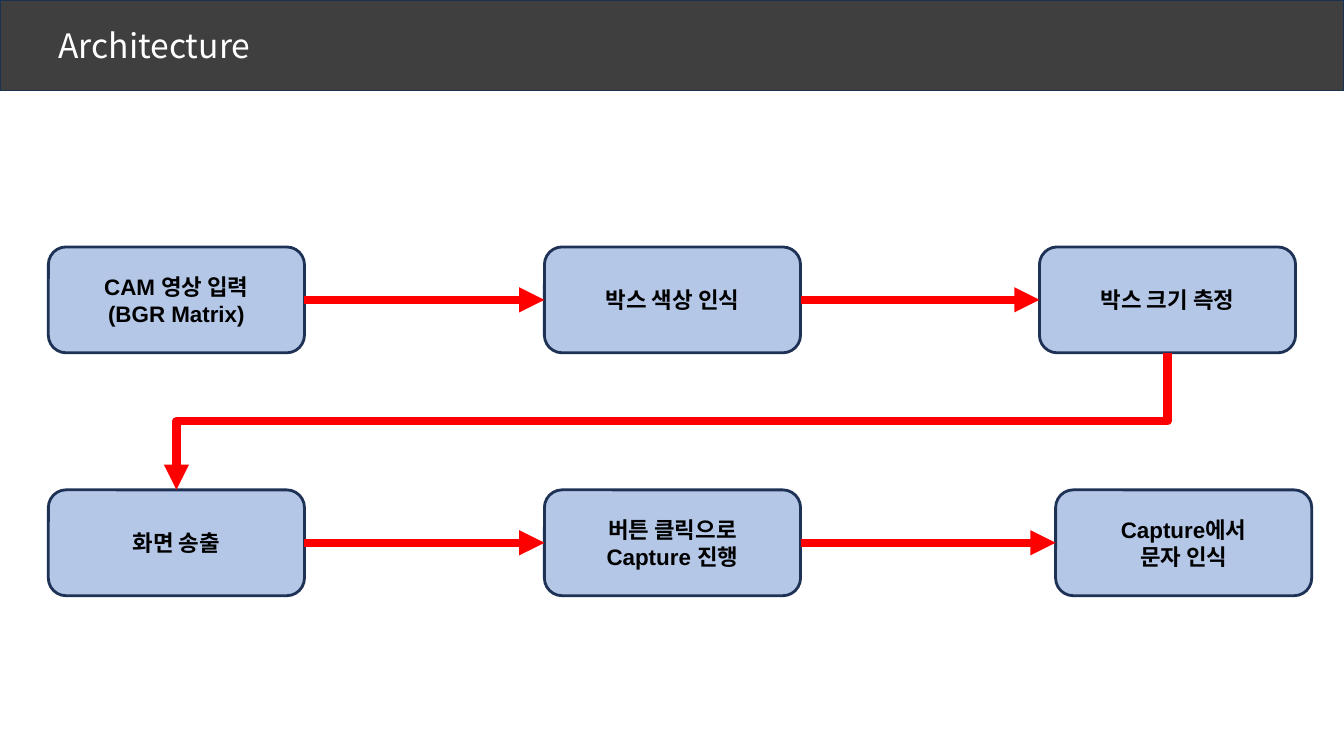
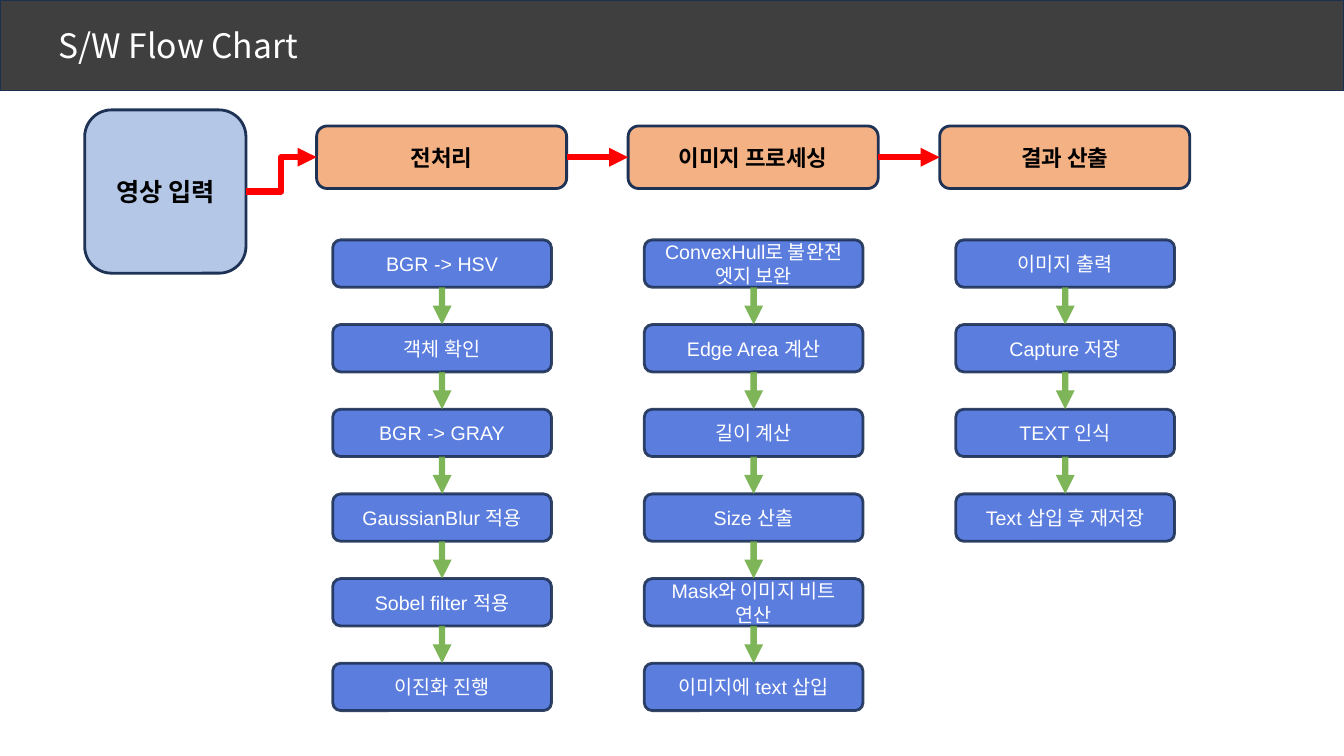
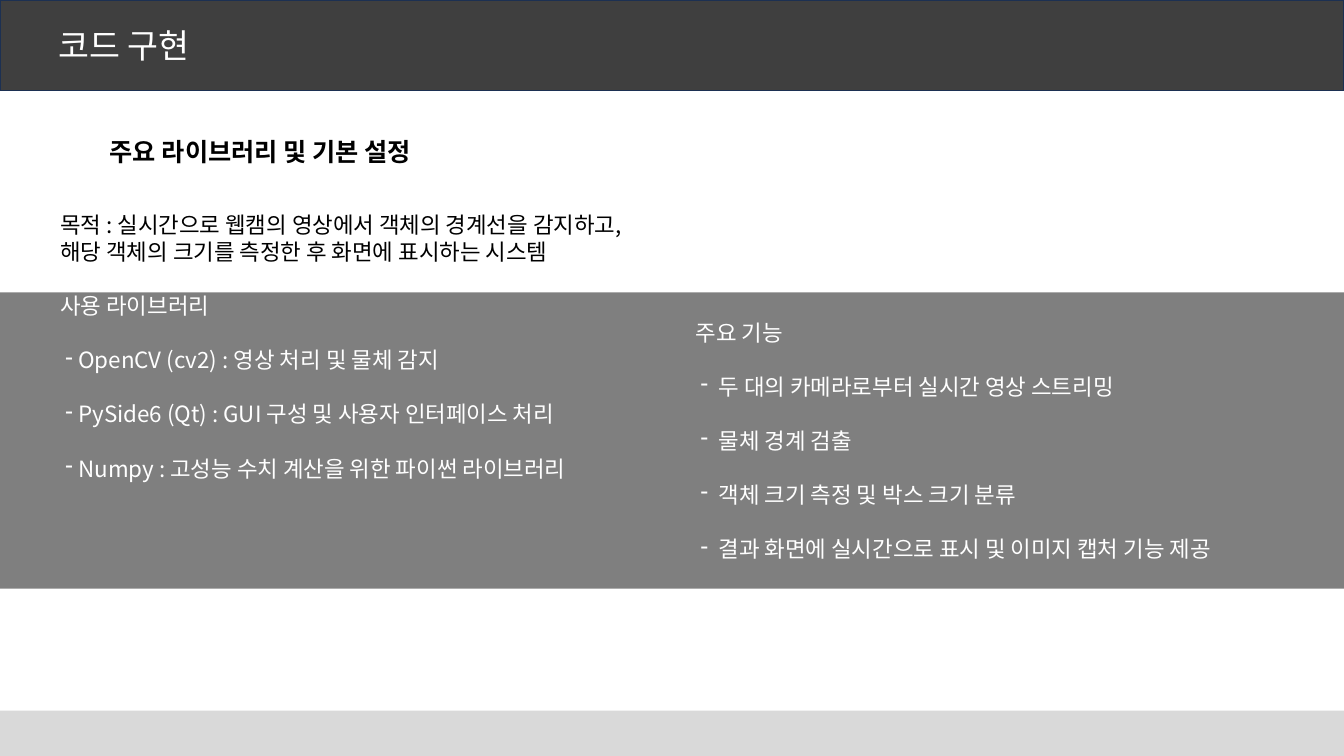
from dataclasses import dataclass

from lxml.etree import SubElement
from pptx import Presentation
from pptx.dml.color import RGBColor
from pptx.enum.shapes import MSO_CONNECTOR as Connector, MSO_SHAPE as Shape
from pptx.enum.text import MSO_ANCHOR as Anchor, PP_ALIGN as Align
from pptx.oxml.ns import qn
from pptx.util import Inches, Pt


@dataclass(frozen=True)
class Theme:
    title_font: str = "Noto Sans CJK KR"
    box_font: str = "Arial"
    header: str = "3F3F3F"
    header_line: str = "1C3052"
    outline: str = "1E3256"
    stage: str = "B4C7E7"
    phase: str = "F4B183"
    step: str = "325DD6"
    flow: str = "FF0000"
    step_flow: str = "70AD47"
    footer: str = "D9D9D9"
    black: str = "000000"
    white: str = "FFFFFF"
    title_size: int = 24
    heading_size: int = 18
    body_size: int = 16
    step_size: int = 14
    line_height: float = 1.21


theme = Theme()
TOP, LEFT, BOTTOM, RIGHT = range(4)  # connection sites of a box


def write(frame, text, size, color, font=theme.title_font, bold=False,
          align=Align.LEFT, gap=0, dash_width=0.0):
    """Fill a text frame; lines that start with "- " become dash bullets."""
    frame.word_wrap = True
    frame.text = text
    for index, para in enumerate(frame.paragraphs):
        if para.text.startswith("- "):
            para.runs[0].text = para.text[2:]
            properties = para._p.get_or_add_pPr()
            properties.set("marL", str(Inches(0.05 + dash_width)))
            properties.set("indent", str(-Inches(dash_width)))
            SubElement(properties, qn("a:buChar"), char="-")
        para.alignment = align
        para.line_spacing = Pt(size * theme.line_height)
        para.space_before = Pt(gap if index else 0)
        para.font.size = Pt(size)
        para.font.bold = bold
        para.font.color.rgb = RGBColor.from_string(color)
        para.font.name = font


def add_box(slide, kind, place, fill, line=None, line_width=2, text="",
            size=theme.body_size, color=theme.black, bold=True, opacity=()):
    """Add a filled shape; opacity holds the percentages of fill and line."""
    box = slide.shapes.add_shape(kind, *map(Inches, place))
    box.shadow.inherit = False
    box.fill.solid()
    box.fill.fore_color.rgb = RGBColor.from_string(fill)
    if line:
        box.line.color.rgb = RGBColor.from_string(line)
        box.line.width = Pt(line_width)
    else:
        box.line.fill.background()
    for tint, percent in zip(box._element.spPr.iter(qn("a:srgbClr")), opacity):
        SubElement(tint, qn("a:alpha"), val=str(percent * 1000))
    if text:
        write(box.text_frame, text, size, color, theme.box_font, bold, Align.CENTER)
    return box


deck = Presentation()
deck.slide_width, deck.slide_height = Inches(13.33), Inches(7.5)
for root in (deck.element, deck.slide_master.element):
    for east_asian in root.iter(qn("a:ea")):
        east_asian.set("typeface", theme.title_font)

# Titles and the shared header band
layout = deck.slide_layouts[5]
slides = []
for title_text in ("Architecture", "S/W Flow Chart", "코드 구현"):
    slide = deck.slides.add_slide(layout)
    title = slide.shapes.title
    title.left, title.top = Inches(0.48), Inches(0.19)
    title.width, title.height = Inches(3), Inches(0.52)
    title.text_frame.vertical_anchor = Anchor.MIDDLE
    write(title.text_frame, title_text, theme.title_size, theme.white)
    slides.append(slide)
architecture, flow_chart, code = slides
header = add_box(architecture, Shape.RECTANGLE, (0, 0, 13.33, 0.9),
                 theme.header, theme.header_line, 1)
layout.shapes._spTree.insert(2, header._element)

links = []  # slide, begin box, begin site, end box, end site, kind, colour, width, opacity

# Architecture: two rows of stages
stage_rows = [
    (2.45, (0.48, 5.4, 10.31),
     ("CAM 영상 입력\n(BGR Matrix)", "박스 색상 인식", "박스 크기 측정")),
    (4.86, (0.48, 5.4, 10.47),
     ("화면 송출", "버튼 클릭으로\nCapture 진행", "Capture에서\n문자 인식")),
]
stages = []
for top, lefts, labels in stage_rows:
    for left, label in zip(lefts, labels):
        stages.append(add_box(architecture, Shape.ROUNDED_RECTANGLE,
                              (left, top, 2.54, 1.05), theme.stage,
                              theme.outline, text=label))
for index, (begin, end) in enumerate(zip(stages, stages[1:])):
    if index == 2:
        route = begin, BOTTOM, end, TOP, Connector.ELBOW
    else:
        route = begin, RIGHT, end, LEFT, Connector.STRAIGHT
    links.append((architecture, *route, theme.flow, 6, 100))

# Flow chart: one phase per column, its steps below
phases = [
    ("전처리", ("BGR -> HSV", "객체 확인", "BGR -> GRAY", "GaussianBlur 적용",
             "Sobel filter 적용", "이진화 진행")),
    ("이미지 프로세싱", ("ConvexHull로 불완전 엣지 보완", "Edge Area 계산", "길이 계산",
                 "Size 산출", "Mask와 이미지 비트 연산", "이미지에 text 삽입")),
    ("결과 산출", ("이미지 출력", "Capture 저장", "TEXT 인식", "Text 삽입 후 재저장")),
]
previous = add_box(flow_chart, Shape.ROUNDED_RECTANGLE, (0.84, 1.09, 1.6, 1.62),
                   theme.stage, theme.outline, text="영상 입력",
                   size=theme.heading_size)
kind = Connector.ELBOW
for column, (phase_name, step_names) in enumerate(phases):
    left = 3.14 + 3.09 * column
    phase = add_box(flow_chart, Shape.ROUNDED_RECTANGLE, (left, 1.25, 2.48, 0.62),
                    theme.phase, theme.outline, text=phase_name)
    links.append((flow_chart, previous, RIGHT, phase, LEFT, kind, theme.flow, 4.5, 100))
    previous, kind = phase, Connector.STRAIGHT
    steps = [
        add_box(flow_chart, Shape.ROUNDED_RECTANGLE,
                (left + 0.16, 2.38 + 0.84 * row, 2.17, 0.47), theme.step,
                theme.outline, text=step_name, size=theme.step_size,
                color=theme.white, bold=False, opacity=(80, 90))
        for row, step_name in enumerate(step_names)
    ]
    for begin, end in zip(steps, steps[1:]):
        links.append((flow_chart, begin, BOTTOM, end, TOP, Connector.STRAIGHT,
                      theme.step_flow, 4.5, 90))

# Arrows of both diagrams
for slide, begin, begin_site, end, end_site, kind, color, width, opacity in links:
    arrow = slide.shapes.add_connector(kind, 0, 0, 0, 0)
    arrow.begin_connect(begin, begin_site)
    arrow.end_connect(end, end_site)
    arrow.line.color.rgb = RGBColor.from_string(color)
    arrow.line.width = Pt(width)
    properties = arrow._element.spPr
    if opacity < 100:
        SubElement(next(properties.iter(qn("a:srgbClr"))), qn("a:alpha"),
                   val=str(opacity * 1000))
    SubElement(properties.find(qn("a:ln")), qn("a:tailEnd"), type="triangle")
    SubElement(properties, qn("a:effectLst"))
    if kind == Connector.ELBOW and begin_site == BOTTOM:
        # A quarter turn makes the elbow leave downwards
        across, down = arrow.width, arrow.height
        arrow.left += (across - down) // 2
        arrow.top -= (across - down) // 2
        arrow.width, arrow.height = down, across
        transform = properties.find(qn("a:xfrm"))
        transform.attrib.pop("flipH", None)
        transform.set("rot", str(90 * 60000))

# Code: bands and text
add_box(code, Shape.RECTANGLE, (0, 2.9, 13.33, 2.94), theme.black, opacity=(50,))
add_box(code, Shape.RECTANGLE, (0, 7.05, 13.33, 0.45), theme.footer)
heading = code.shapes.add_textbox(Inches(0.99), Inches(1.3), Inches(5.54), Inches(0.4))
write(heading.text_frame, "주요 라이브러리 및 기본 설정", theme.heading_size,
      theme.black, bold=True)

libraries = "\n".join((
    "목적 : 실시간으로 웹캠의 영상에서 객체의 경계선을 감지하고, "
    "해당 객체의 크기를 측정한 후 화면에 표시하는 시스템",
    "사용 라이브러리",
    "- OpenCV (cv2) : 영상 처리 및 물체 감지",
    "- PySide6 (Qt) : GUI 구성 및 사용자 인터페이스 처리",
    "- Numpy : 고성능 수치 계산을 위한 파이썬 라이브러리",
))
features = "\n".join((
    "주요 기능",
    "- 두 대의 카메라로부터 실시간 영상 스트리밍",
    "- 물체 경계 검출",
    "- 객체 크기 측정 및 박스 크기 분류",
    "- 결과 화면에 실시간으로 표시 및 이미지 캡처 기능 제공",
))
for place, text, dash_width in (
    ((0.5, 2.04, 6.03, 3.06), libraries, 0.13),
    ((6.8, 3.11, 6.2, 2.52), features, 0.18),
):
    box = code.shapes.add_textbox(*map(Inches, place))
    write(box.text_frame, text, theme.body_size, theme.white,
          gap=theme.body_size * theme.line_height, dash_width=dash_width)
    if text == libraries:
        purpose = box.text_frame.paragraphs[0]
        purpose.font.color.rgb = RGBColor.from_string(theme.black)

deck.save("out.pptx")
